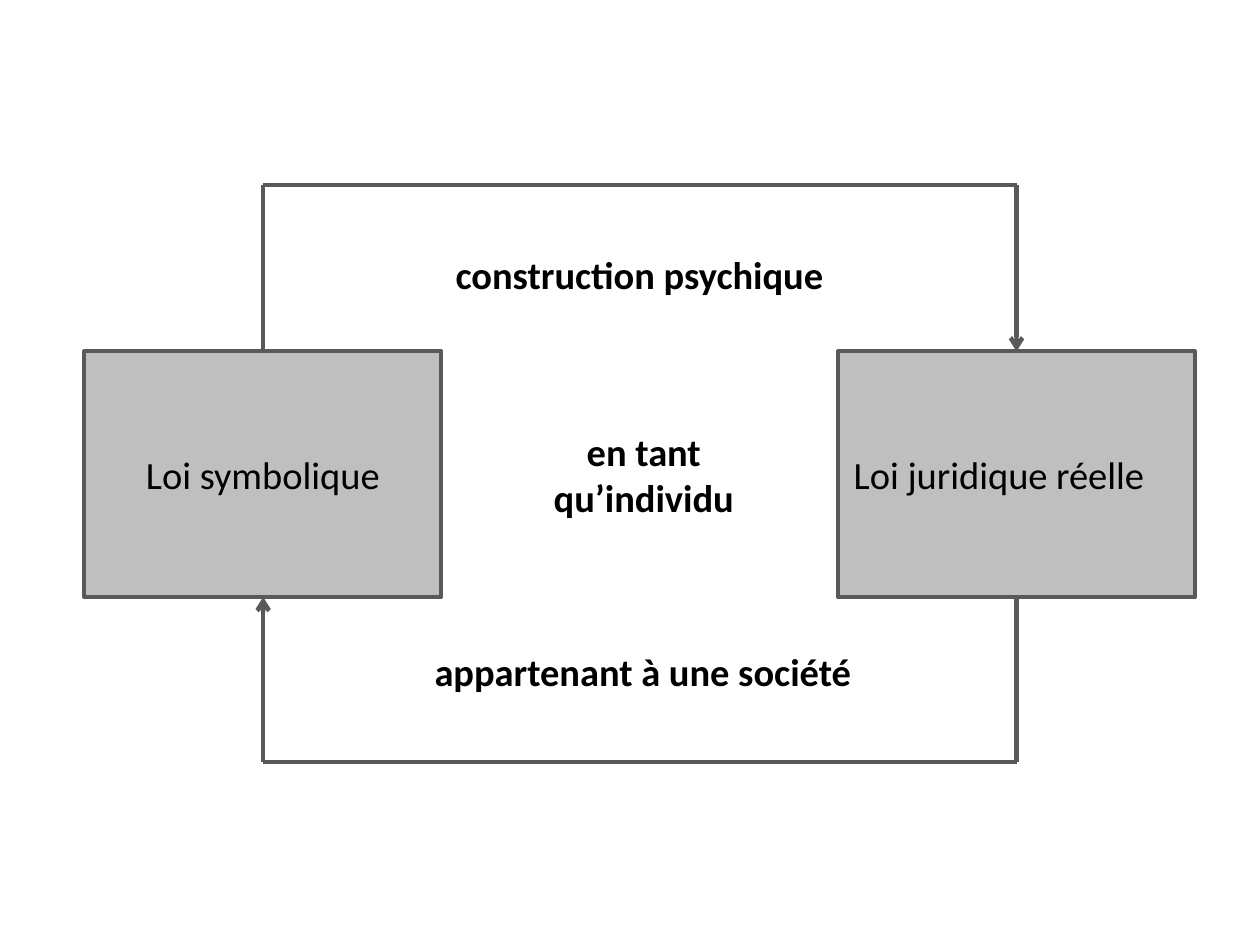
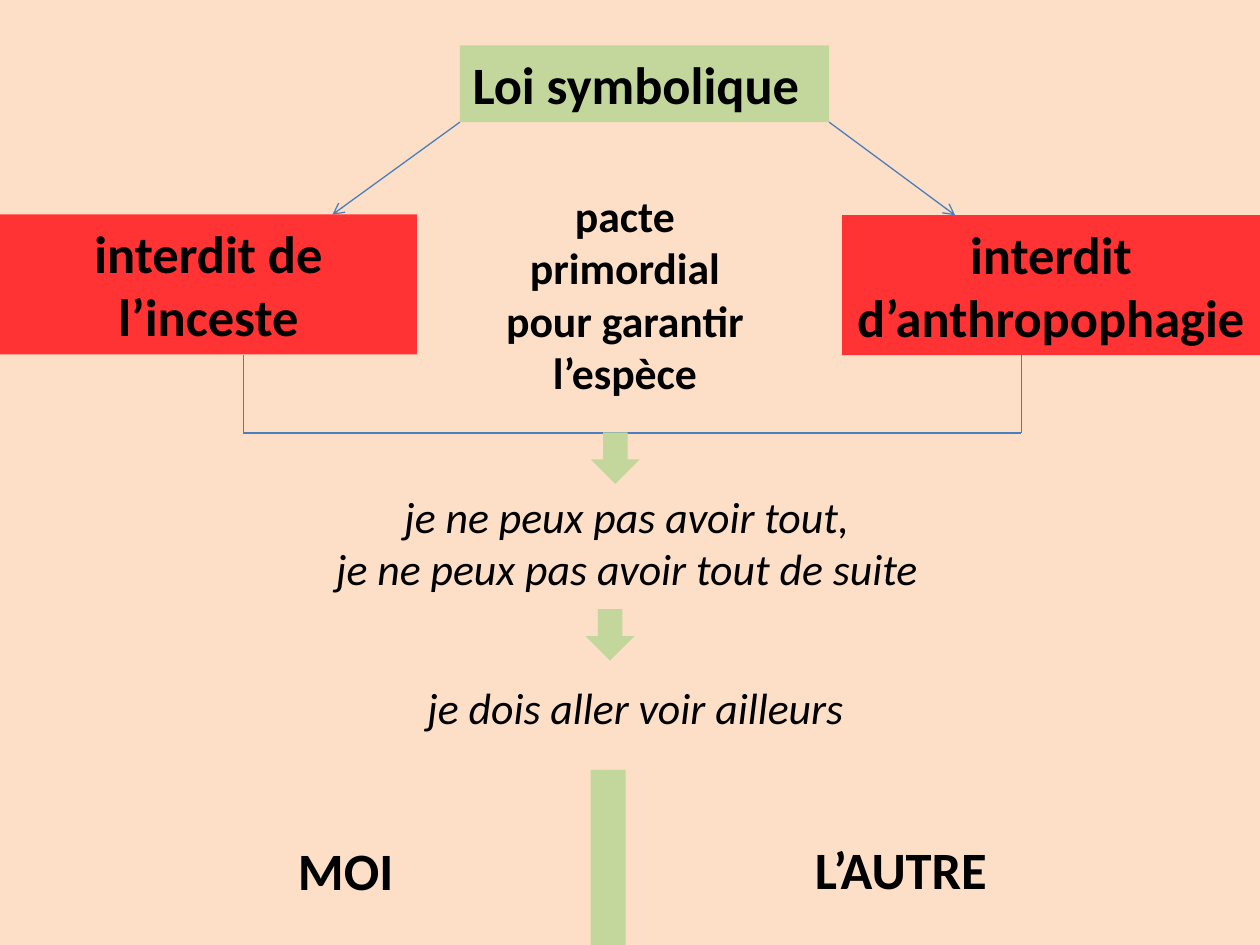
import pptx
import pptx.util
import pptx.dml.color
import pptx.enum.shapes
import pptx.enum.text
import lxml.etree

Pt = pptx.util.Pt
RGB = pptx.dml.color.RGBColor
Kind = pptx.enum.shapes.MSO_SHAPE
Align = pptx.enum.text.PP_ALIGN
Anchor = pptx.enum.text.MSO_ANCHOR

BLACK = RGB(0x00, 0x00, 0x00)
SILVER = RGB(0xBF, 0xBF, 0xBF)
GREY = RGB(0x59, 0x59, 0x59)
PEACH = RGB(0xFD, 0xDF, 0xC7)
GREEN = RGB(0xC3, 0xD6, 0x9B)
RED = RGB(0xFF, 0x33, 0x33)
BLUE = RGB(0x4B, 0x7E, 0xBC)
FONT = "Calibri"


def write(shape, text, size, bold=False, italic=False, align=Align.CENTER):
    frame = shape.text_frame
    frame.text = text
    frame.word_wrap = True
    frame.vertical_anchor = Anchor.MIDDLE
    for para in frame.paragraphs:
        para.alignment = align
        for run in para.runs:
            font = run.font
            font.name, font.size = FONT, Pt(size)
            font.bold, font.italic = bold, italic
            font.color.rgb = BLACK


def link(slide, start, end, color, width, arrow=False):
    """Draw a straight line, with an open arrowhead at its end if asked."""
    line = slide.shapes.add_connector(
        pptx.enum.shapes.MSO_CONNECTOR.STRAIGHT, *map(Pt, start + end))
    line.line.color.rgb = color
    line.line.width = Pt(width)
    props = line._element.spPr
    ns = "{http://schemas.openxmlformats.org/drawingml/2006/main}"
    if arrow:
        lxml.etree.SubElement(props.find(ns + "ln"), ns + "tailEnd", type="arrow")
    lxml.etree.SubElement(props, ns + "effectLst")


deck = pptx.Presentation()
deck.slide_width, deck.slide_height = Pt(720), Pt(540)

# Slide 1: the loop between the two laws
loop = deck.slides.add_slide(deck.slide_layouts[6])
width, height, top = 204, 140.4, 200.8
base = top + height
for left, text in ((48.2, "Loi symbolique"), (478.8, "Loi juridique réelle")):
    box = loop.shapes.add_shape(
        Kind.RECTANGLE, Pt(left), Pt(top), Pt(width), Pt(height))
    box.shadow.inherit = False
    box.fill.solid()
    box.fill.fore_color.rgb = SILVER
    box.line.color.rgb = GREY
    box.line.width = Pt(2.25)
    write(box, text, 22)
box.text_frame.margin_right = Pt(27)

labels = (
    (285.8, 240.5, 164.2, 60.5, "en tant qu’individu", Align.CENTER),
    (245.2, 139.7, 240.5, 33.8, "construction psychique", Align.CENTER),
    (241.2, 366.5, 260.6, 33.8, "appartenant à une société", Align.LEFT),
)
for *place, text, align in labels:
    label = loop.shapes.add_textbox(*map(Pt, place))
    write(label, text, 22, bold=True, align=align)

west, east, north, south = 150.4, 580.9, 105.8, 435.6
for start, end, arrow in (
    ((west, top), (west, north), False),
    ((west, north), (east, north), False),
    ((east, north), (east, top), True),
    ((east, base), (east, south), False),
    ((east, south), (west, south), False),
    ((west, south), (west, base), True),
):
    link(loop, start, end, GREY, 2.5, arrow)

# Slide 2: the symbolic law and its two prohibitions
law = deck.slides.add_slide(deck.slide_layouts[5])
law.background.fill.solid()
law.background.fill.fore_color.rgb = PEACH

title = law.shapes.title
title.left, title.top, title.width, title.height = map(Pt, (262.8, 26, 211, 43.8))
title.fill.solid()
title.fill.fore_color.rgb = GREEN
write(title, "Loi symbolique", 30, bold=True, align=Align.LEFT)
title.text_frame.auto_size = pptx.enum.text.MSO_AUTO_SIZE.NONE

blocks = (
    (Kind.RECTANGLE, 0, 122.6, 238.3, 80, RED, "interdit de\nl’inceste"),
    (Kind.RECTANGLE, 481.2, 123, 238.8, 80, RED, "interdit\nd’anthropophagie"),
    (Kind.RECTANGLE, 337.5, 440, 20, 100, GREEN, ""),
)
arrows = [(Kind.DOWN_ARROW, left, y, 28, 29.5, GREEN, "")
          for left, y in ((337.6, 247), (334.6, 348))]

texts = (
    (136, 275.8, 444.2, 67.7, 25, False,
     "je ne peux pas avoir tout,\nje ne peux pas avoir tout de suite"),
    (235.4, 103.7, 243.4, 128.2, 25, True,
     "pacte\nprimordial\npour garantir\nl’espèce"),
    (224, 385.2, 278, 37.4, 25, False, "je dois aller voir ailleurs"),
    (152.2, 475.2, 90.7, 43.8, 30, True, "MOI"),
    (457.9, 474.5, 113.8, 43.8, 30, True, "L’AUTRE"),
)
for *place, size, bold, text in texts:
    label = law.shapes.add_textbox(*map(Pt, place))
    write(label, text, size, bold=bold, italic=not bold)

left, right, floor = 139, 583.6, 247.4
for start, end, arrow in (
    ((262.8, 69.8), (190, 122.6), True),
    ((473.8, 69.8), (545.8, 123), True),
    ((left, floor), (right, floor), False),
    ((left, floor), (left, 202.6), False),
    ((right, floor), (right, 203), False),
):
    link(law, start, end, BLUE, 0.75, arrow)

for kind, *place, color, text in (*blocks, *arrows):
    block = law.shapes.add_shape(kind, *map(Pt, place))
    block.shadow.inherit = False
    block.fill.solid()
    block.fill.fore_color.rgb = color
    block.line.fill.background()
    if text:
        write(block, text, 30, bold=True)

deck.save("out.pptx")
